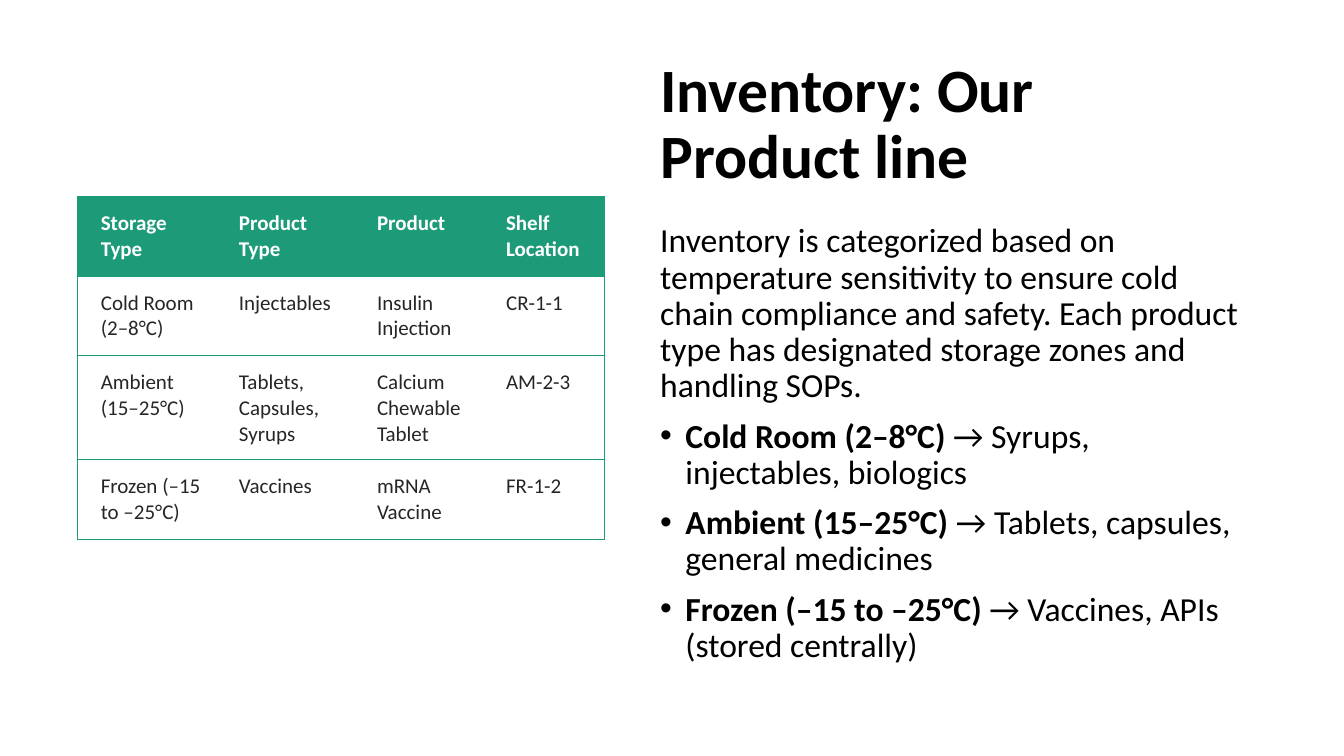
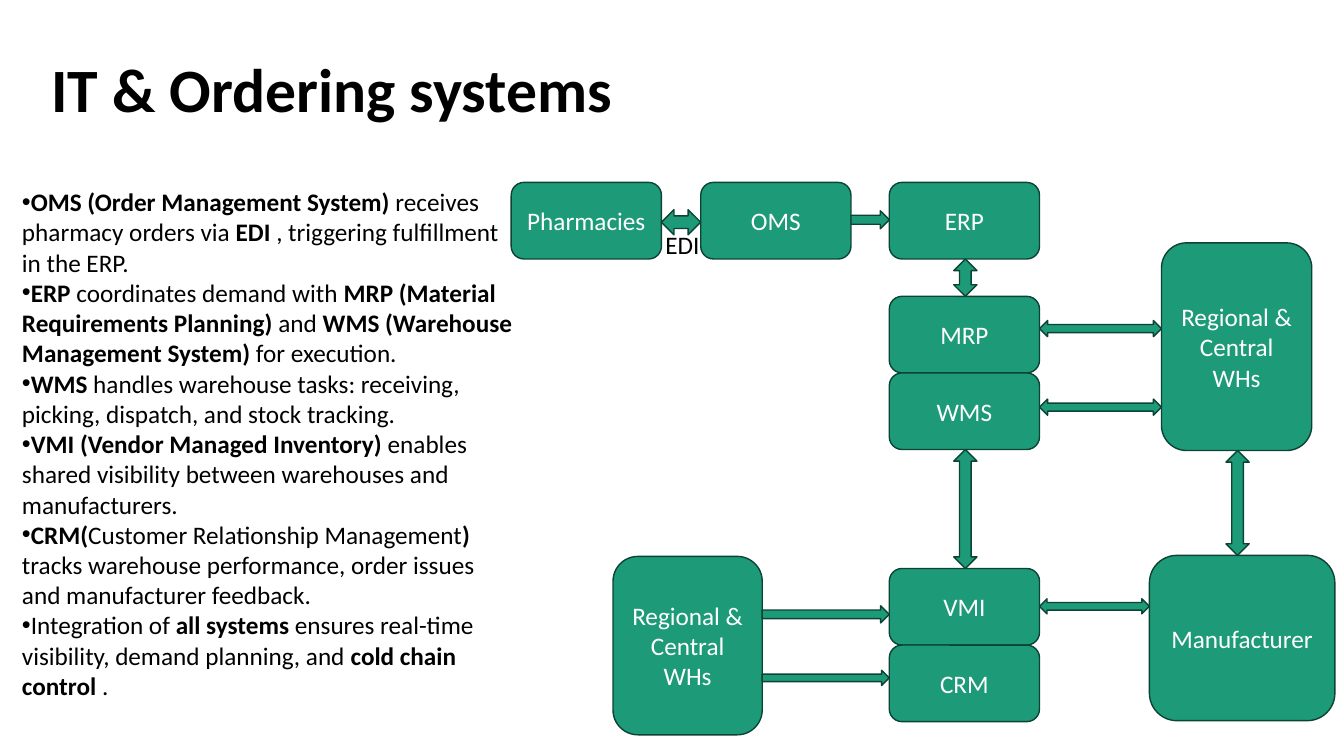
from lxml.etree import SubElement
from pptx import Presentation
from pptx.dml.color import RGBColor
from pptx.enum.shapes import MSO_SHAPE
from pptx.enum.text import MSO_ANCHOR, PP_ALIGN
from pptx.oxml.ns import qn
from pptx.util import Pt

PX = 9144
FONT = "Calibri"
GREEN, DARK_GREEN = "1D9A78", "0D4335"
WHITE, BLACK, CHARCOAL = "FFFFFF", "000000", "262626"

INVENTORY_TITLE = "Inventory: Our Product line"
INVENTORY_INTRO = (
    "Inventory is categorized based on temperature sensitivity to ensure cold chain "
    "compliance and safety. Each product type has designated storage zones and handling SOPs."
)
STORAGE_ZONES = [
    "**Cold Room (2–8°C)** → Syrups, injectables, biologics",
    "**Ambient (15–25°C)** → Tablets, capsules, general medicines",
    "**Frozen (–15 to –25°C)** → Vaccines, APIs (stored centrally)",
]
STOCK = [
    ["Storage Type", "Product Type", "Product", "Shelf Location"],
    ["Cold Room (2–8°C)", "Injectables", "Insulin Injection", "CR-1-1"],
    ["Ambient (15–25°C)", "Tablets, Capsules, Syrups", "Calcium Chewable Tablet", "AM-2-3"],
    ["Frozen (–15 to –25°C)", "Vaccines", "mRNA Vaccine", "FR-1-2"],
]
STOCK_WIDTHS = [137, 137, 128, 120]
STOCK_HEIGHTS = [79, 79, 103, 79]

SYSTEMS_TITLE = "IT & Ordering systems"
SYSTEM_ROLES = [
    "**OMS (Order Management System)** receives pharmacy orders via **EDI** , "
    "triggering fulfillment in the ERP.",
    "**ERP** coordinates demand with **MRP (Material Requirements Planning)** and "
    "**WMS (Warehouse Management System)** for execution.",
    "**WMS** handles warehouse tasks: receiving, picking, dispatch, and stock tracking.",
    "**VMI (Vendor Managed Inventory)** enables shared visibility between warehouses "
    "and manufacturers.",
    "**CRM(**Customer Relationship Management**)** tracks warehouse performance, "
    "order issues and manufacturer feedback.",
    "Integration of **all systems** ensures real-time visibility, demand planning, "
    "and **cold chain control** .",
]
WAREHOUSES = "Regional & Central WHs"
BOX_W, BOX_H = 149, 76
ORDER_TOP, CORE_LEFT = 181, 882
SYSTEM_PLACES = {
    "Pharmacies": (507, ORDER_TOP),
    "OMS": (695, ORDER_TOP),
    "ERP": (CORE_LEFT, ORDER_TOP),
    "MRP": (CORE_LEFT, 294),
    "WMS": (CORE_LEFT, 294 + BOX_H),
    "VMI": (CORE_LEFT, 564),
    "CRM": (CORE_LEFT, 564 + BOX_H),
}
NODES = {name: (name, *place, BOX_W, BOX_H) for name, place in SYSTEM_PLACES.items()}
NODES |= {
    "Supplying WHs": (WAREHOUSES, 1152, 241, BOX_W, 206),
    "Reporting WHs": (WAREHOUSES, 608, 552, 148, 177),
    "Manufacturer": ("Manufacturer", 1140, 551, 184, 164),
}
BOTH_WAYS, ONE_WAY, VERTICAL = (
    MSO_SHAPE.LEFT_RIGHT_ARROW, MSO_SHAPE.RIGHT_ARROW, MSO_SHAPE.UP_DOWN_ARROW)
FLOWS = [
    ("Pharmacies", "OMS", BOTH_WAYS, 208, 25),
    ("OMS", "ERP", ONE_WAY, 209, 18),
    ("ERP", "MRP", VERTICAL, 946, 23),
    ("WMS", "VMI", VERTICAL, 946, 23),
    ("MRP", "Supplying WHs", BOTH_WAYS, 318, 16),
    ("WMS", "Supplying WHs", BOTH_WAYS, 396, 16),
    ("Supplying WHs", "Manufacturer", VERTICAL, 1216, 23),
    ("VMI", "Manufacturer", BOTH_WAYS, 594, 15),
    ("Reporting WHs", "VMI", ONE_WAY, 601, 17),
    ("Reporting WHs", "CRM", ONE_WAY, 665, 15),
]


def emu(*lengths):
    return [round(length * PX) for length in lengths]


def rgb(value):
    return RGBColor.from_string(value)


def style(font, size, color, bold=None):
    font.name, font.size, font.bold = FONT, Pt(size), bold
    font.color.rgb = rgb(color)


def write(paragraph, marked, size, color=BLACK):
    for index, part in enumerate(marked.split("**")):
        if part:
            run = paragraph.add_run()
            run.text = part
            style(run.font, size, color, index % 2 == 1)


def add_bullet(paragraph, indent):
    properties = paragraph._p.get_or_add_pPr()
    properties.set("marL", str(indent * PX))
    properties.set("indent", str(-indent * PX))
    SubElement(properties, qn("a:buFont"), typeface="Arial")
    SubElement(properties, qn("a:buChar"), char="•")


def add_titled_slide(deck, title, place):
    slide = deck.slides.add_slide(deck.slide_layouts[5])
    heading = slide.shapes.title
    heading.left, heading.top, heading.width, heading.height = emu(*place)
    frame = heading.text_frame
    frame.text = title
    frame.vertical_anchor = MSO_ANCHOR.MIDDLE
    paragraph = frame.paragraphs[0]
    paragraph.alignment = PP_ALIGN.LEFT
    paragraph.line_spacing = 0.9
    style(paragraph.runs[0].font, 44, BLACK, True)
    return slide


def add_text(slide, place, paragraphs, size, indent=0, plain=0, spacing=None, gap=0):
    frame = slide.shapes.add_textbox(*emu(*place)).text_frame
    frame.word_wrap = True
    for index, marked in enumerate(paragraphs):
        paragraph = frame.add_paragraph() if index else frame.paragraphs[0]
        if index >= plain:
            add_bullet(paragraph, indent)
        paragraph.line_spacing = spacing
        if index and gap:
            paragraph.space_before = Pt(gap)
        write(paragraph, marked, size)


def set_borders(cell, shown):
    properties = cell._tc.get_or_add_tcPr()
    for side in "LRTB":
        border = SubElement(properties, qn(f"a:ln{side}"), w=str(Pt(0.5)))
        if side in shown:
            fill = SubElement(border, qn("a:solidFill"))
            SubElement(fill, qn("a:srgbClr"), val=GREEN)
        else:
            SubElement(border, qn("a:noFill"))


def add_stock_table(slide, left, top):
    place = emu(left, top, sum(STOCK_WIDTHS), sum(STOCK_HEIGHTS))
    table = slide.shapes.add_table(len(STOCK), len(STOCK[0]), *place).table
    table.horz_banding = False
    for column, width in zip(table.columns, emu(*STOCK_WIDTHS)):
        column.width = width
    for row, height in zip(table.rows, emu(*STOCK_HEIGHTS)):
        row.height = height
    last = len(STOCK_WIDTHS) - 1
    for r, record in enumerate(STOCK):
        header = r == 0
        for c, value in enumerate(record):
            cell = table.cell(r, c)
            cell.text = value
            cell.margin_left, cell.margin_right, cell.margin_top, cell.margin_bottom = emu(
                23, 14, 14, 14)
            set_borders(cell, "TB" + "L" * (c == 0) + "R" * (c == last))
            cell.fill.solid()
            cell.fill.fore_color.rgb = rgb(GREEN if header else WHITE)
            font = cell.text_frame.paragraphs[0].runs[0].font
            style(font, 15, WHITE if header else CHARCOAL, header)


def add_green_shape(slide, preset, place):
    shape = slide.shapes.add_shape(preset, *emu(*place))
    shape.shadow.inherit = False
    shape.fill.solid()
    shape.fill.fore_color.rgb = rgb(GREEN)
    shape.line.color.rgb = rgb(DARK_GREEN)
    shape.line.width = Pt(1)
    return shape


def add_node(slide, label, *place):
    node = add_green_shape(slide, MSO_SHAPE.FLOWCHART_ALTERNATE_PROCESS, place)
    frame = node.text_frame
    frame.text = label
    frame.word_wrap = True
    frame.vertical_anchor = MSO_ANCHOR.MIDDLE
    paragraph = frame.paragraphs[0]
    paragraph.alignment = PP_ALIGN.CENTER
    style(paragraph.runs[0].font, 18, WHITE)


def add_flow(slide, source, target, preset, edge, thickness):
    _, x, y, w, h = NODES[source]
    _, target_x, target_y, _, _ = NODES[target]
    if preset == VERTICAL:
        place = (edge, y + h, thickness, target_y - y - h)
    else:
        place = (x + w, edge, target_x - x - w, thickness)
    add_green_shape(slide, preset, place)


def build_inventory(deck):
    slide = add_titled_slide(deck, INVENTORY_TITLE, (645, 52, 597, 145))
    add_text(slide, (645, 217, 597, 458), [INVENTORY_INTRO, *STORAGE_ZONES], 24,
             indent=25, plain=1, spacing=0.9, gap=10)
    add_stock_table(slide, 77, 195)


def build_systems(deck):
    slide = add_titled_slide(deck, SYSTEMS_TITLE, (41, 19, 1150, 145))
    for node in NODES.values():
        add_node(slide, *node)
    add_text(slide, (650, 223, 76, 40), ["EDI"], 18, plain=1)
    for flow in FLOWS:
        add_flow(slide, *flow)
    add_text(slide, (12, 180, 506, 555), SYSTEM_ROLES, 18)


def main():
    deck = Presentation()
    deck.slide_width, deck.slide_height = emu(1333, 750)
    build_inventory(deck)
    build_systems(deck)
    deck.save("out.pptx")


if __name__ == "__main__":
    main()
